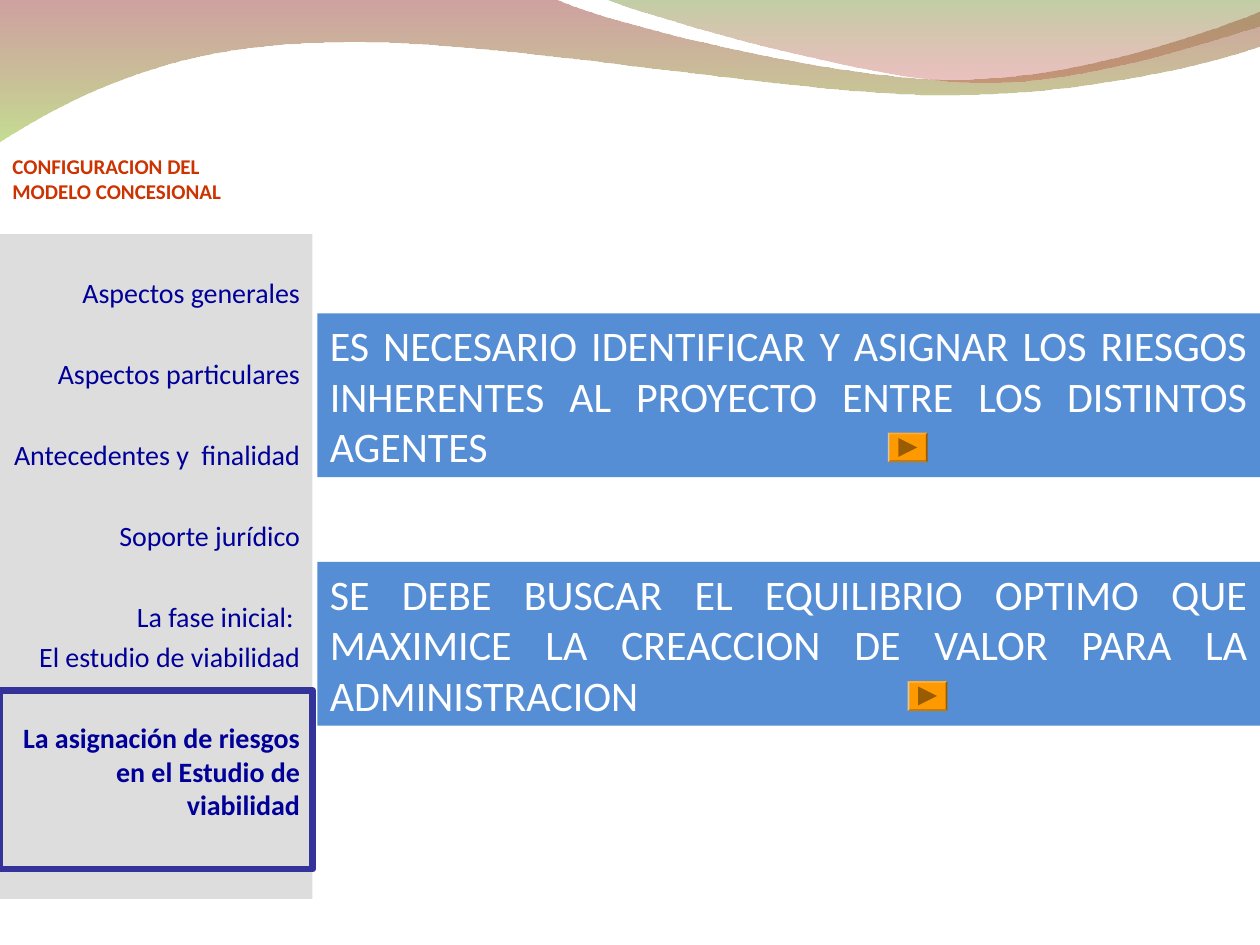
from lxml import etree
from pptx import Presentation
from pptx import util as u
from pptx.dml.color import RGBColor
from pptx.enum import shapes, text
from pptx.oxml import ns

COLOURS = {
    "heading": "CC3300", "menu": "000099", "menu_back": "DDDDDD",
    "frame": "333399", "banner": "558ED5", "banner_text": "FFFFFF",
    "button": "FF9900", "arrow": "995C00",
    "red": "95302E", "lime": "95C237", "olive": "749434", "rose": "BD322E",
}
FRAME = {"word_wrap": True, "auto_size": text.MSO_AUTO_SIZE.NONE,
         "vertical_anchor": text.MSO_ANCHOR.TOP,
         "margin_left": u.Cm(0.25), "margin_right": u.Cm(0.25),
         "margin_top": u.Cm(0.13), "margin_bottom": u.Cm(0.13)}
MENU = [("Aspectos generales", 0, False),
        ("Aspectos particulares", 27, False),
        ("Antecedentes y  finalidad", 27, False),
        ("Soporte jurídico", 27, False),
        ("La fase inicial: ", 27, False),
        ("El estudio de viabilidad", 4, False),
        ("La asignación de riesgos en el Estudio de viabilidad", 27, True)]
MAIN_WAVE = [
    [(0, -0.03)], [(11.18, -0.03)],
    [(12.09, 0.43), (16.87, 1.6), (19.25, 1.6)],
    [(21.67, 1.6), (24.33, 0.66), (25.4, 0.23)], [(25.43, 0.91)],
    [(24.97, 1.12), (22.1, 1.93), (18.95, 1.91)],
    [(15.8, 1.91), (9.7, 0.71), (6.53, 0.86)],
    [(3.28, 0.89), (1.17, 2.11), (-0.03, 2.87)]]
RIGHT_WAVE = [
    [(12.17, -0.03)],
    [(12.93, 0.28), (17.32, 1.57), (19.53, 1.65)],
    [(21.74, 1.75), (24.41, 0.81), (25.4, 0.53)], [(25.4, 0)]]


def rgb(name):
    return RGBColor.from_string(COLOURS[name])


def apply(target, values):
    for key, value in values.items():
        setattr(target, key, value)


def place(part, box):
    apply(part, dict(zip(("left", "top", "width", "height"), map(u.Cm, box))))


def paint(part, colour):
    part.fill.solid()
    part.fill.fore_color.rgb = rgb(colour)


def write(paragraph, words, colour, font, layout):
    line = paragraph.add_run()
    line.text = words
    apply(line.font, {"name": "Calibri", **font})
    line.font.color.rgb = rgb(colour)
    apply(paragraph, {"line_spacing": 1.0, "space_before": u.Pt(0), **layout})


def add_preset(slide, kind, box, colour):
    part = slide.shapes.add_shape(kind, *map(u.Cm, box))
    part.shadow.inherit = False
    part.line.fill.background()
    if colour:
        paint(part, colour)
    else:
        part.fill.background()
    return part


def curve_points(segments, steps=24):
    points = list(segments[0])
    for segment in segments[1:]:
        if len(segment) == 1:
            points += segment
            continue
        controls = [points[-1], *segment]
        for step in range(1, steps + 1):
            t = step / steps
            weights = ((1 - t) ** 3, 3 * t * (1 - t) ** 2,
                       3 * t * t * (1 - t), t ** 3)
            points.append(tuple(sum(w * c[axis] for w, c in zip(weights, controls))
                                for axis in (0, 1)))
    return points


def add_wave(slide, box, segments, stops):
    left, top = box[:2]
    points = [(u.Cm(left + x), u.Cm(top + y)) for x, y in curve_points(segments)]
    builder = slide.shapes.build_freeform(*points[0])
    builder.add_line_segments(points[1:], close=True)
    wave = builder.convert_to_shape()
    wave.shadow.inherit = False
    wave.line.fill.background()
    wave.fill.gradient()
    wave.fill.gradient_angle = 270
    for stop, (colour, _) in zip(wave.fill.gradient_stops, stops):
        stop.color.rgb = rgb(colour)
    tints = wave._element.spPr.iter(ns.qn("a:srgbClr"))
    for tint, (_, opacity) in zip(list(tints), stops):
        etree.SubElement(tint, ns.qn("a:alpha"), val=str(opacity * 1000))


def add_header(slide, box):
    add_wave(slide, box, MAIN_WAVE, [("red", 45), ("lime", 55)])
    add_wave(slide, box, RIGHT_WAVE, [("olive", 45), ("rose", 30)])


def fill_heading(heading, box):
    place(heading, box)
    frame = heading.text_frame
    apply(frame, FRAME)
    for index, words in enumerate(("CONFIGURACION DEL", "MODELO CONCESIONAL")):
        paragraph = frame.add_paragraph() if index else frame.paragraphs[0]
        write(paragraph, words, "heading", {"size": u.Pt(12), "bold": True},
              {"alignment": text.PP_ALIGN.LEFT})


def fill_menu(slide, menu, box):
    left, top, width, height = box
    place(menu, box)
    paint(menu, "menu_back")
    frame = menu.text_frame
    apply(frame, {**FRAME, "margin_top": u.Cm(0.84)})
    for index, (words, gap, bold) in enumerate(MENU):
        paragraph = frame.add_paragraph() if index else frame.paragraphs[0]
        write(paragraph, words, "menu", {"size": u.Pt(16), "bold": bold},
              {"alignment": text.PP_ALIGN.RIGHT, "space_before": u.Pt(gap)})
        settings = paragraph._p.get_or_add_pPr()
        settings.set("marL", str(u.Cm(0.95)))
        settings.set("indent", str(-u.Cm(0.95)))
        etree.SubElement(settings, ns.qn("a:buNone"))
    current = add_preset(slide, shapes.MSO_SHAPE.RECTANGLE,
                         (left, top + 9.2, width, 3.6), None)
    current.line.color.rgb = rgb("frame")
    current.line.width = u.Pt(4)


def add_next_button(slide, box):
    left, top, width, height = box
    button = add_preset(slide, shapes.MSO_SHAPE.BEVEL, box, "button")
    button.adjustments[0] = 0.06
    side = 0.38
    arrow = add_preset(slide, shapes.MSO_SHAPE.ISOSCELES_TRIANGLE,
                       (left + (width - side) / 2, top + (height - side) / 2,
                        side, side), "arrow")
    arrow.rotation = 90


def add_banner(slide, box, words, button_offset):
    left, top, width, height = box
    banner = add_preset(slide, shapes.MSO_SHAPE.RECTANGLE, box, "banner")
    apply(banner.text_frame, FRAME)
    write(banner.text_frame.paragraphs[0], words, "banner_text",
          {"size": u.Pt(24)}, {"alignment": text.PP_ALIGN.JUSTIFY})
    add_next_button(slide, (left + button_offset, top + 2.4, 0.8, 0.6))


def main():
    deck = Presentation()
    apply(deck, {"slide_width": u.Cm(25.4), "slide_height": u.Cm(19.05)})
    slide = deck.slides.add_slide(deck.slide_layouts[1])
    heading, menu = slide.placeholders
    add_header(slide, (0, 0, 25.4, 2.87))
    fill_heading(heading, (0, 2.97, 7.39, 1.27))
    fill_menu(slide, menu, (0, 4.72, 6.3, 13.4))
    add_banner(slide, (6.4, 6.32, 19, 3.3),
               "ES NECESARIO IDENTIFICAR Y ASIGNAR LOS RIESGOS INHERENTES "
               "AL PROYECTO ENTRE LOS DISTINTOS AGENTES", 11.5)
    add_banner(slide, (6.4, 11.33, 19, 3.3),
               "SE DEBE BUSCAR EL EQUILIBRIO OPTIMO QUE MAXIMICE LA CREACCION "
               "DE VALOR PARA LA ADMINISTRACION", 11.9)
    deck.save("out.pptx")


if __name__ == "__main__":
    main()
